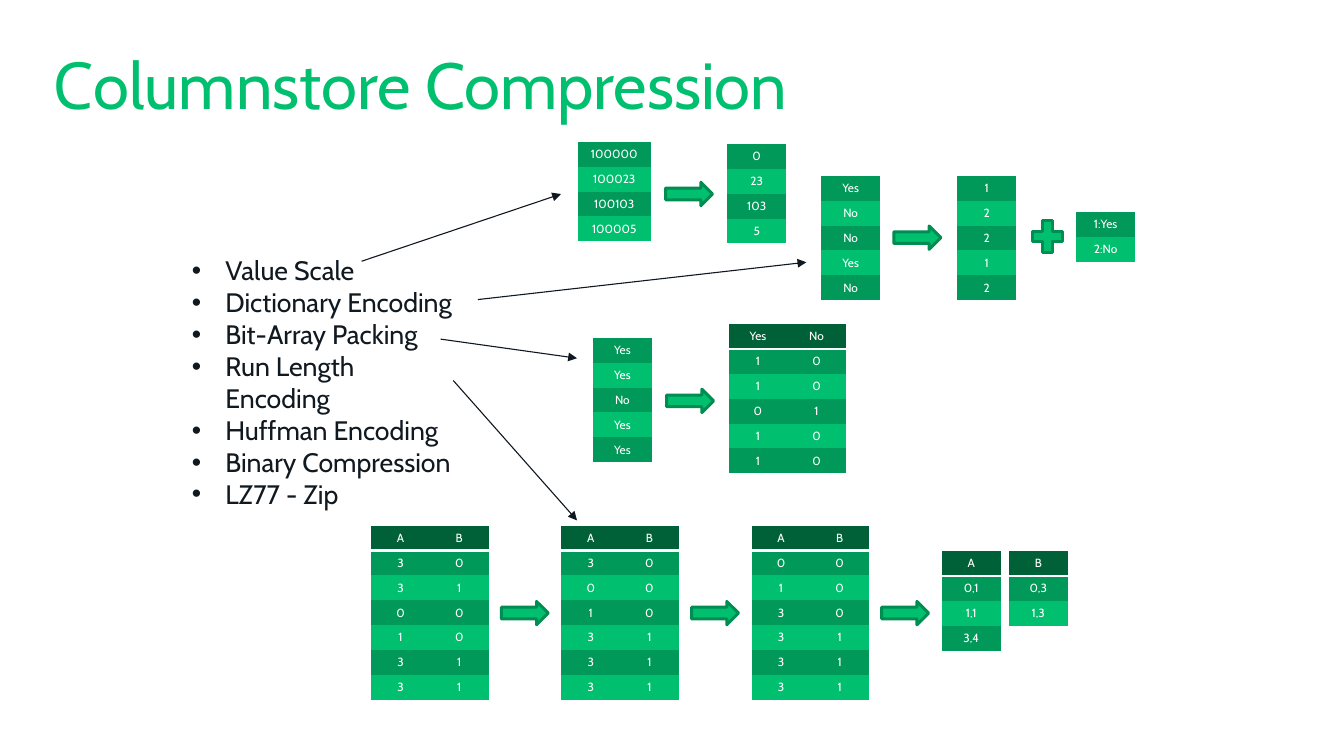
from dataclasses import dataclass

from lxml.etree import SubElement
from pptx import Presentation
from pptx.dml.color import RGBColor
from pptx.enum.shapes import MSO_CONNECTOR, MSO_SHAPE
from pptx.enum.text import MSO_ANCHOR, MSO_AUTO_SIZE, PP_ALIGN
from pptx.oxml import parse_xml
from pptx.oxml.ns import nsdecls, qn
from pptx.util import Pt


@dataclass(frozen=True)
class Theme:
    font: str = "Cabin"
    green: str = "00BF6F"
    band: str = "009959"
    header: str = "006038"
    outline: str = "008D52"
    ink: str = "101820"
    line: str = "0F1720"
    white: str = "FFFFFF"
    title_size: float = 44
    list_size: float = 18
    cell_size: float = 8


THEME = Theme()
ROW_HEIGHT = 16.8
COL_WIDTH = 39.6
NO_STYLE = "{2D5ABB26-0587-4C30-8999-92F81FD0307C}"

METHODS = ["Value Scale", "Dictionary Encoding", "Bit-Array Packing",
           "Run Length Encoding", "Huffman Encoding", "Binary Compression",
           "LZ77 - Zip"]

# left, top, column width, rows; cells are separated by spaces
PLAIN_TABLES = [
    (390.2, 95.8, 49, ["100000", "100023", "100103", "100005"]),
    (491, 97.2, COL_WIDTH, ["0", "23", "103", "5"]),
    (554.4, 118.8, COL_WIDTH, ["Yes", "No", "No", "Yes", "No"]),
    (646.2, 118.8, COL_WIDTH, ["1", "2", "2", "1", "2"]),
    (726.5, 143.3, COL_WIDTH, ["1:Yes", "2:No"]),
    (400.3, 228.2, COL_WIDTH, ["Yes", "Yes", "No", "Yes", "Yes"]),
]
HEADED_TABLES = [
    (491.8, 218.9, ["Yes No", "1 0", "1 0", "0 1", "1 0", "1 0"]),
    (635.8, 372.2, ["A", "0,1", "1,1", "3,4"]),
    (681.1, 372.2, ["B", "0,3", "1,3"]),
]
RUN_LENGTH_STEPS = [
    ["A B", "3 0", "3 1", "0 0", "1 0", "3 1", "3 1"],
    ["A B", "3 0", "0 0", "1 0", "3 1", "3 1", "3 1"],
    ["A B", "0 0", "1 0", "3 0", "3 1", "3 1", "3 1"],
]
RUN_LENGTH_PITCH = 128.4

ARROWS = [(449.3, 123.1), (603.4, 152.6), (450, 262.8)]
POINTERS = [
    (244.1, 176.4, 378.7, 131),
    (322.6, 202.3, 544.3, 177.1),
    (297.4, 229, 389.5, 241.9),
    (306, 257, 389.5, 351.4),
]


def rgb(color):
    return RGBColor.from_string(color)


def place(sp, left, top, width, height):
    sp.left, sp.top, sp.width, sp.height = map(Pt, (left, top, width, height))


def add_run(p, text, size, color):
    r = p.add_run()
    r.text = text
    r.font.name = THEME.font
    r.font.size = Pt(size)
    r.font.bold = False
    r.font.color.rgb = rgb(color)


def set_title(s, text):
    sp = s.shapes.title
    place(sp, 28.1, 28.1, 850.3, 56.9)
    tf = sp.text_frame
    tf.auto_size = MSO_AUTO_SIZE.NONE
    tf.vertical_anchor = MSO_ANCHOR.MIDDLE
    p = tf.paragraphs[0]
    p.alignment = PP_ALIGN.LEFT
    add_run(p, text, THEME.title_size, THEME.green)


def set_list(s, items):
    sp = s.placeholders[1]
    place(sp, 122.4, 167.8, 192.2, 181.4)
    tf = sp.text_frame
    tf.word_wrap = True
    tf.auto_size = MSO_AUTO_SIZE.NONE
    for i, item in enumerate(items):
        p = tf.paragraphs[0] if i == 0 else tf.add_paragraph()
        p.space_before = p.space_after = Pt(0)
        p.line_spacing = 1.0
        pPr = p._p.get_or_add_pPr()
        pPr.set("marL", str(Pt(22.5)))
        pPr.set("indent", str(-Pt(22.5)))
        add_run(p, item, THEME.list_size, THEME.ink)


def add_header_rule(cell):
    cell._tc.get_or_add_tcPr().insert(0, parse_xml(
        f'<a:lnB {nsdecls("a")} w="{Pt(2)}"><a:solidFill>'
        f'<a:srgbClr val="{THEME.white}"/></a:solidFill></a:lnB>'))


def add_grid(s, left, top, col_width, rows, headed=False):
    """Add a banded table, with a dark first row if headed."""
    grid = [row.split() for row in rows]
    cols = len(grid[0])
    table = s.shapes.add_table(
        len(grid), cols, Pt(left), Pt(top),
        Pt(col_width * cols), Pt(ROW_HEIGHT * len(grid))).table
    table._tbl.tblPr.find(qn("a:tableStyleId")).text = NO_STYLE
    table.first_row = headed
    table.horz_banding = False
    for i, values in enumerate(grid):
        is_header = headed and i == 0
        band = THEME.band if (i - headed) % 2 == 0 else THEME.green
        for j, value in enumerate(values):
            cell = table.cell(i, j)
            cell.fill.solid()
            cell.fill.fore_color.rgb = rgb(THEME.header if is_header else band)
            cell.margin_top = cell.margin_bottom = Pt(3)
            cell.vertical_anchor = MSO_ANCHOR.MIDDLE
            p = cell.text_frame.paragraphs[0]
            p.alignment = PP_ALIGN.CENTER
            add_run(p, value, THEME.cell_size, THEME.white)
            if is_header:
                add_header_rule(cell)


def add_symbol(s, kind, left, top, width=31.7, height=15.8):
    sp = s.shapes.add_shape(kind, Pt(left), Pt(top), Pt(width), Pt(height))
    sp.shadow.inherit = False
    sp.fill.solid()
    sp.fill.fore_color.rgb = rgb(THEME.green)
    sp.line.color.rgb = rgb(THEME.outline)
    sp.line.width = Pt(2)


def add_pointer(s, x1, y1, x2, y2):
    """Add a thin line with an arrowhead at its end."""
    line = s.shapes.add_connector(
        MSO_CONNECTOR.STRAIGHT, Pt(x1), Pt(y1), Pt(x2), Pt(y2))
    line.line.color.rgb = rgb(THEME.line)
    line.line.width = Pt(0.75)
    SubElement(line.line._get_or_add_ln(), qn("a:tailEnd"), type="triangle")
    SubElement(line._element.spPr, qn("a:effectLst"))


def main():
    prs = Presentation()
    prs.slide_width, prs.slide_height = Pt(907.2), Pt(510.5)
    s = prs.slides.add_slide(prs.slide_layouts[1])
    set_title(s, "Сolumnstore Compression")
    set_list(s, METHODS)
    for left, top, col_width, rows in PLAIN_TABLES:
        add_grid(s, left, top, col_width, rows)
    for left, top, rows in HEADED_TABLES:
        add_grid(s, left, top, COL_WIDTH, rows, headed=True)
    for i, rows in enumerate(RUN_LENGTH_STEPS):
        shift = i * RUN_LENGTH_PITCH
        add_grid(s, 250.6 + shift, 355, COL_WIDTH, rows, headed=True)
        add_symbol(s, MSO_SHAPE.RIGHT_ARROW, 338.4 + shift, 406.1)
    for left, top in ARROWS:
        add_symbol(s, MSO_SHAPE.RIGHT_ARROW, left, top)
    add_symbol(s, MSO_SHAPE.MATH_PLUS, 693.4, 145.4, 27.4, 28.8)
    for ends in POINTERS:
        add_pointer(s, *ends)
    prs.save("out.pptx")


if __name__ == "__main__":
    main()
